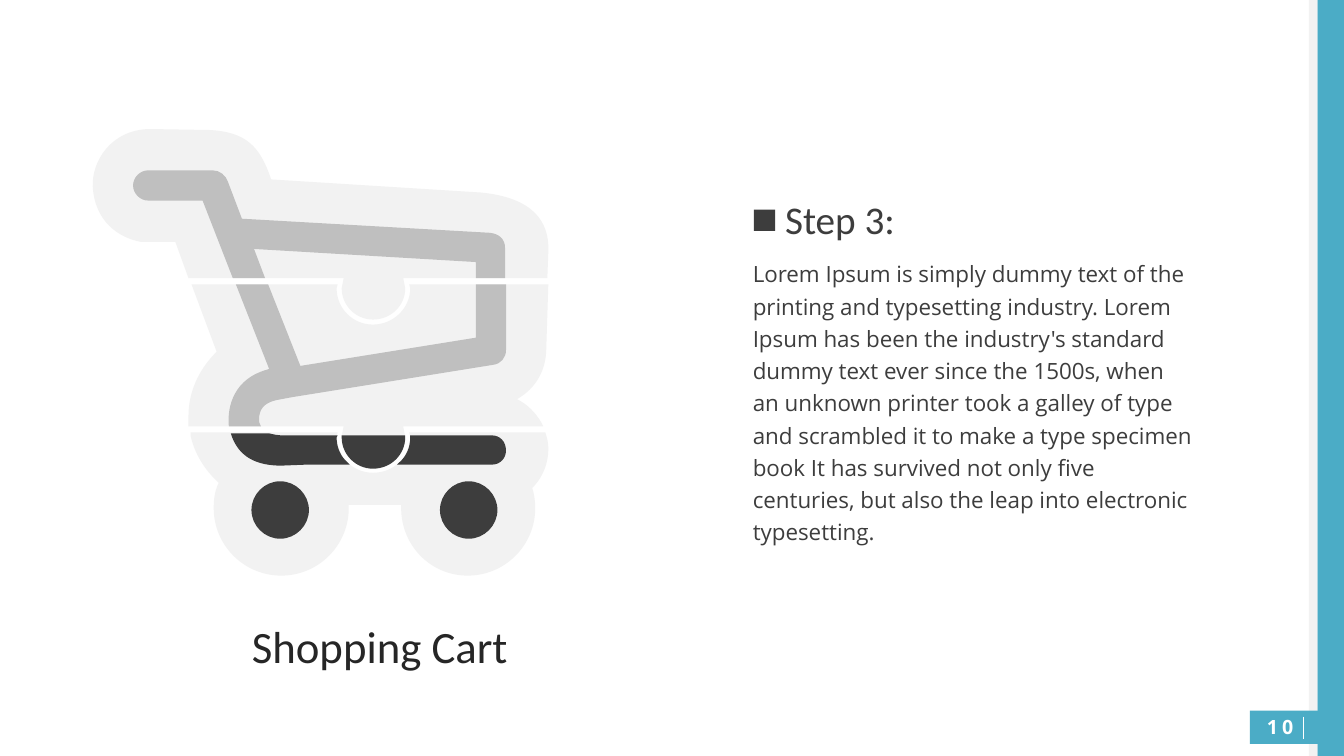
from lxml.etree import SubElement
from pptx import Presentation
from pptx.dml.color import RGBColor
from pptx.enum.shapes import MSO_CONNECTOR as Connector, MSO_SHAPE as Shape
from pptx.enum.text import MSO_ANCHOR as Anchor, MSO_AUTO_SIZE as AutoSize, PP_ALIGN as Align
from pptx.oxml.ns import qn
from pptx.util import Inches, Pt

COLORS = {
    "teal": "4BACC6",
    "pale": "F2F2F2",
    "silver": "BFBFBF",
    "dark": "3D3D3D",
    "title": "262626",
    "white": "FFFFFF",
}
ROWS = 75
COLUMNS = ROWS * 16 / 9
HEADING, BODY = "Calibri", "Open Sans"

STORY = (
    "Lorem Ipsum is simply dummy text of the printing and typesetting industry. "
    "Lorem Ipsum has been the industry's standard dummy text ever since the 1500s, "
    "when an unknown printer took a galley of type and scrambled it to make a type "
    "specimen book It has survived not only five centuries, but also the leap into "
    "electronic typesetting."
)


def wheel(x, y, radius=2.85, bend=1.55):
    return [
        (x, y - radius),
        (x + bend, y - radius, x + radius, y - bend, x + radius, y),
        (x + radius, y + bend, x + bend, y + radius, x, y + radius),
        (x - bend, y + radius, x - radius, y + bend, x - radius, y),
        (x - radius, y - bend, x - bend, y - radius, x, y - radius),
    ]


HANDLE_HALO = [
    (14.8, 12.8), (20.8, 12.9), (24.4, 13.1, 25.8, 14.5, 26.9, 17.8), (47.7, 19.1),
    (52.8, 19.6, 54.5, 21.9, 54.4, 24.9), (54.3, 27.6), (40, 27.6), (40.2, 28.6),
    (40.2, 30.3, 38.8, 31.7, 37, 31.7), (35.3, 31.7, 33.9, 30.3, 33.9, 28.6),
    (34.1, 27.6), (18.7, 27.6), (17.4, 24), (14, 24),
    (11.8, 23.6, 9.4, 22, 9.2, 18.5), (9.1, 16, 11, 12.9, 14.8, 12.8),
]
HANDLE = [
    (14.7, 16.9), (21.1, 16.9), (21.8, 16.9, 22.4, 17.4, 22.6, 18), (24, 21.7),
    (48.6, 23.1), (49.5, 23.2, 50.1, 23.7, 50.1, 24.6), (50.1, 27.6), (47.2, 27.6),
    (47.2, 26), (25.2, 24.7), (26.3, 27.6), (23.1, 27.6), (20.1, 19.9), (14.7, 19.9),
    (13.9, 19.9, 13.2, 19.2, 13.2, 18.4), (13.2, 17.6, 13.9, 16.9, 14.7, 16.9),
]
BASKET_HALO = [
    (19, 28.2), (33.5, 28.2), (33.4, 28.6), (33.4, 30.6, 35, 32.2, 37, 32.2),
    (39, 32.2, 40.7, 30.6, 40.7, 28.6), (40.6, 28.2), (54.4, 28.2), (54.2, 34.5),
    (54.2, 36.7, 53.2, 38.5, 51.3, 39.6), (52.3, 40.1, 53.1, 40.9, 53.7, 41.9),
    (53.9, 42.3), (40, 42.3), (40.2, 43.3), (40.2, 45, 38.8, 46.4, 37, 46.4),
    (35.3, 46.4, 33.9, 45, 33.9, 43.3), (34.1, 42.3), (18.7, 42.3), (18.7, 41.3),
    (18.7, 38.9, 19.7, 36.8, 21.2, 35.2), (21.5, 34.9),
]
BASKET = [
    (23.4, 28.2), (26.6, 28.2), (29.8, 36.3), (47.2, 33.5), (47.2, 28.2), (50.2, 28.2),
    (50.2, 34.7), (50.2, 35.5, 49.7, 36.1, 48.9, 36.2), (29, 39.4), (27.4, 39.7),
    (26.1, 40, 25.7, 40.7, 25.7, 41.6), (25.7, 41.8, 25.7, 42.1, 25.9, 42.3),
    (22.7, 42.3), (22.5, 40.2, 23.3, 37.6, 26.4, 36.7), (26.7, 36.6),
]
WHEEL_HALO = [
    (18.9, 42.9), (33.5, 42.9), (33.4, 43.3), (33.4, 45.3, 35, 46.9, 37, 46.9),
    (39.1, 46.9, 40.7, 45.3, 40.7, 43.3), (40.6, 42.9), (54.1, 42.9),
    (54.3, 43.5, 54.4, 44, 54.4, 44.5), (54.4, 45.9, 53.9, 47.2, 53, 48.2),
    (52.8, 48.4), (53, 49, 53.1, 49.8, 53.1, 50.4), (53.1, 54.1, 50.1, 57.1, 46.4, 57.1),
    (42.7, 57.1, 39.8, 54.1, 39.8, 50.4), (39.8, 50.1), (34.6, 50.1), (34.6, 50.4),
    (34.6, 54.1, 31.6, 57.1, 27.9, 57.1), (24.2, 57.1, 21.2, 54.1, 21.2, 50.4),
    (21.2, 49.6, 21.3, 48.8, 21.6, 48.1), (21.7, 47.9), (21.6, 47.8),
    (20.3, 46.6, 19.3, 45, 18.9, 43.2),
]
AXLE_RIGHT = [
    (40.7, 43.2), (48.8, 43.2), (49.6, 43.2, 50.2, 43.8, 50.2, 44.7),
    (50.2, 45.5, 49.6, 46.1, 48.8, 46.1), (39.4, 46.1), (39.6, 45.9),
    (40.3, 45.3, 40.7, 44.4, 40.7, 43.4),
]
AXLE_LEFT = [
    (22.9, 43), (26.7, 43), (27.2, 43.1, 27.5, 43.2, 27.9, 43.2), (33.5, 43.2),
    (33.4, 43.4), (33.4, 44.4, 33.8, 45.3, 34.5, 45.9), (34.7, 46.1), (30.4, 46.1),
    (27.9, 46.2), (25.4, 46.2, 23.6, 45.3, 22.9, 43),
]
AXLE_KNOB = [
    (33.9, 43.2), (40.2, 43.2), (40.2, 43.4), (40.2, 45.1, 38.8, 46.5, 37, 46.5),
    (35.3, 46.5, 33.9, 45.1, 33.9, 43.4),
]
CART = [
    ("pale", HANDLE_HALO), ("silver", HANDLE),
    ("pale", BASKET_HALO), ("silver", BASKET),
    ("pale", WHEEL_HALO),
    ("dark", wheel(46.5, 50.6), wheel(27.8, 50.6), AXLE_RIGHT, AXLE_LEFT),
    ("dark", AXLE_KNOB),
]


class CartSlide:
    def __init__(self, deck):
        self.shapes = deck.slides.add_slide(deck.slide_layouts[6]).shapes
        self.column = deck.slide_width / COLUMNS
        self.row = deck.slide_height / ROWS

    def place(self, *lengths):
        units = (self.column, self.row) * 3
        return [round(length * unit) for length, unit in zip(lengths, units)]

    def color(self, name):
        return RGBColor.from_string(COLORS[name])

    def paint(self, shape, color):
        shape.shadow.inherit = False
        shape.fill.solid()
        shape.fill.fore_color.rgb = self.color(color)
        shape.line.fill.background()

    def block(self, area, color):
        self.paint(self.shapes.add_shape(Shape.RECTANGLE, *self.place(*area)), color)

    def piece(self, color, *outlines):
        builder = self.shapes.build_freeform(*self.place(*outlines[0][0]))
        for number, (start, *steps) in enumerate(outlines):
            if number:
                builder.move_to(*self.place(*start))
            builder.add_line_segments([self.place(*step[-2:]) for step in steps], close=True)
        shape = builder.convert_to_shape()
        self.bend(shape, [step for outline in outlines for step in outline[1:]])
        self.paint(shape, color)

    def bend(self, shape, steps):
        sides = list(shape._element.iter(qn("a:lnTo")))
        for side, step in zip(sides, steps):
            if len(step) == 2:
                continue
            side.tag = qn("a:cubicBezTo")
            side.remove(side[0])
            spots = self.place(*step)
            for x, y in zip(spots[::2], spots[1::2]):
                SubElement(side, qn("a:pt"), x=str(x - shape.left), y=str(y - shape.top))

    def rule(self, start, end, color, width):
        line = self.shapes.add_connector(
            Connector.STRAIGHT, *self.place(*start), *self.place(*end))
        line.line.color.rgb = self.color(color)
        line.line.width = Pt(width)
        SubElement(line._element.spPr, qn("a:effectLst"))

    def text(self, area, words, size, font, color, wrap=True, anchor=Anchor.TOP,
             align=Align.LEFT, leading=None, bold=False, spacing=0):
        frame = self.shapes.add_textbox(*self.place(*area)).text_frame
        frame.text = words
        frame.word_wrap = wrap
        frame.auto_size = AutoSize.SHAPE_TO_FIT_TEXT
        frame.vertical_anchor = anchor
        paragraph = frame.paragraphs[0]
        paragraph.alignment = align
        if leading:
            paragraph.line_spacing = leading
        run = paragraph.runs[0]
        run.font.name, run.font.size, run.font.bold = font, Pt(size), bold
        run.font.color.rgb = self.color(color)
        if spacing:
            run._r.get_or_add_rPr().set("spc", str(spacing * 100))


def main():
    deck = Presentation()
    deck.slide_height = Inches(7.5)
    deck.slide_width = deck.slide_height * 16 // 9
    page = CartSlide(deck)

    page.text((24, 60.8, 27.4, 6.4), "Shopping Cart", 32, HEADING, "title",
              wrap=False, anchor=Anchor.MIDDLE)

    page.block((130.7, 0, COLUMNS - 130.7, ROWS), "teal")
    page.block((129.86, 0, 0.84, ROWS), "pale")
    page.block((124, 70.5, COLUMNS - 124, 3.3), "teal")
    page.text((123.5, 70.45, 7, 3.4), "10", 14, BODY, "white",
              align=Align.CENTER, bold=True, spacing=3)
    page.rule((129.3, 71.1), (129.3, 73.3), "white", 0.75)

    page.text((76.9, 18.9, 13, 5.7), "Step 3:", 28, HEADING, "dark",
              wrap=False, anchor=Anchor.MIDDLE)
    page.block((74.8, 20.8, 2.1, 2.1), "dark")
    page.text((73.7, 24.83, 45.7, 26.9), STORY, 16, BODY, "dark", leading=1.2)

    for color, *outlines in CART:
        page.piece(color, *outlines)

    deck.save("out.pptx")


if __name__ == "__main__":
    main()
